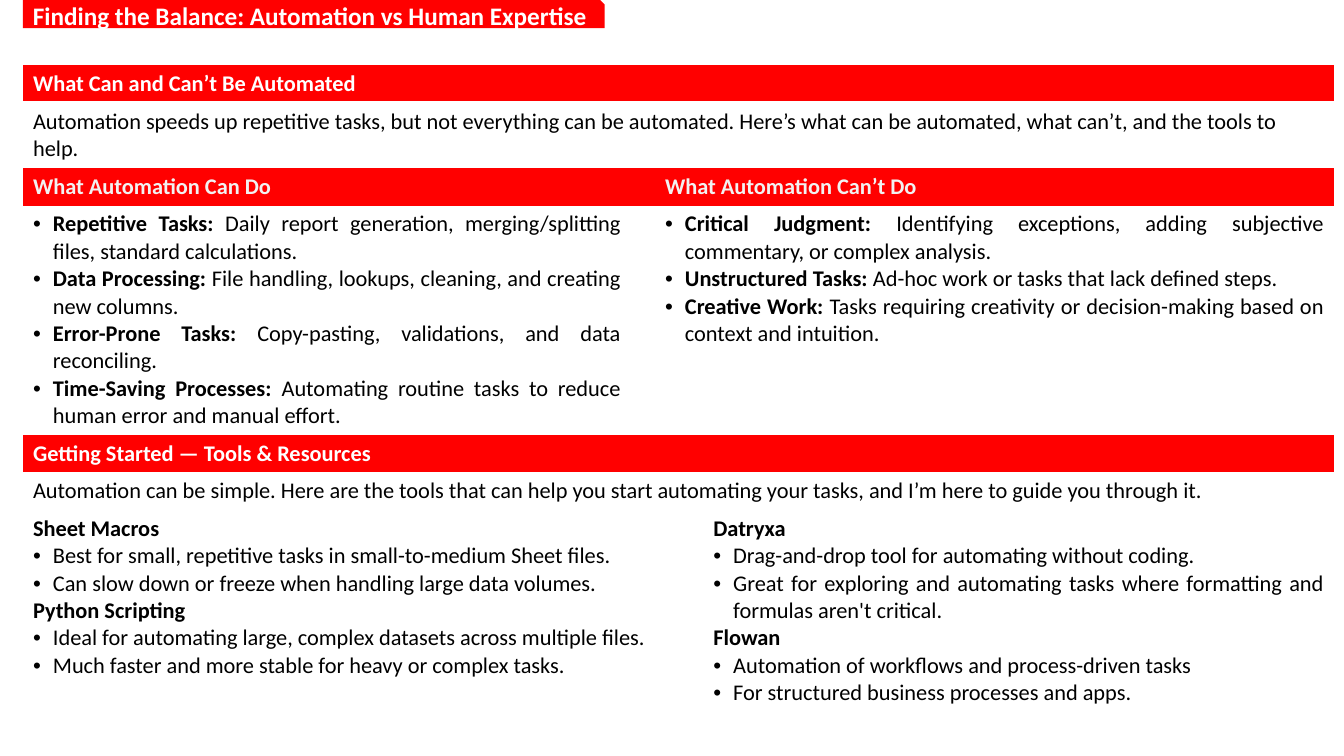
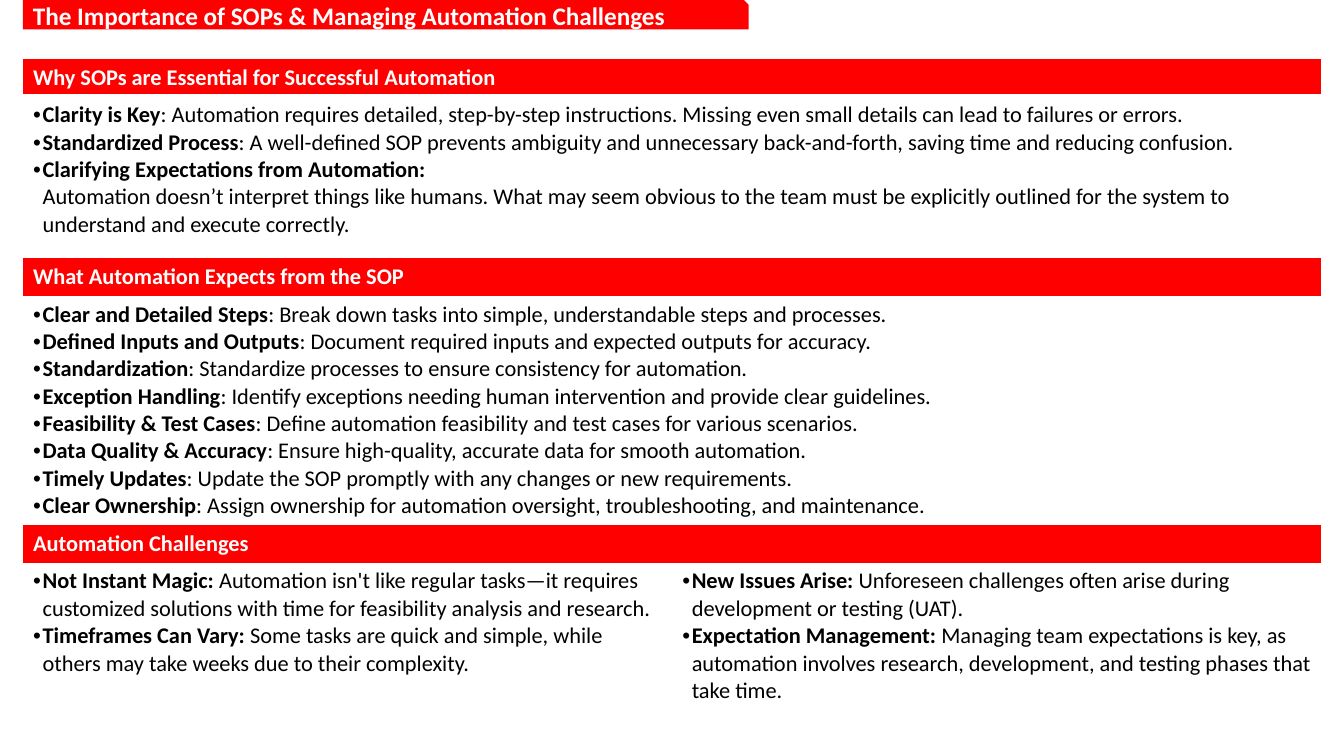
from lxml.etree import SubElement as Sub
from pptx import Presentation
from pptx.dml.color import RGBColor
from pptx.enum.shapes import MSO_SHAPE as Shape
from pptx.enum.text import MSO_ANCHOR as Anchor, PP_ALIGN as Align
from pptx.oxml.ns import qn
from pptx.util import Cm, Pt

# Shared look
FONT, SIZE, BIG = "Calibri", 16, 18
RED, WHITE, PALE, BLACK = "FF0000", "FFFFFF", "F2F2F2", "000000"
LEFT, BAND = 0.58, 0.94
NO_GRID = "{2D5ABB26-0587-4C30-8999-92F81FD0307C}"
# Row kind: fill, text colour, all bold, bulleted
KINDS = {
    "head": (RED, WHITE, True, False),
    "sub": (RED, PALE, True, False),
    "text": (WHITE, BLACK, False, False),
    "list": (WHITE, BLACK, False, True),
}

# Content: a row is kind, height, then cells as (column, span, lines).
# In a list line, the part before "|" is bold; a bold part alone is a heading.
BALANCE = [
    ("head", BAND, [(0, 5, ["What Can and Can’t Be Automated"])]),
    ("text", 1.64, [(0, 5, [
        "Automation speeds up repetitive tasks, but not everything can be automated. "
        "Here’s what can be automated, what can’t, and the tools to help."])]),
    ("sub", BAND, [(0, 2, ["What Automation Can Do"]),
                   (2, 3, ["What Automation Can’t Do"])]),
    ("list", 5.78, [
        (0, 1, [
            "Repetitive Tasks:| Daily report generation, merging/splitting files, "
            "standard calculations.",
            "Data Processing:| File handling, lookups, cleaning, and creating new columns.",
            "Error-Prone Tasks:| Copy-pasting, validations, and data reconciling.",
            "Time-Saving Processes:| Automating routine tasks to reduce human error "
            "and manual effort."]),
        (2, 3, [
            "Critical Judgment:| Identifying exceptions, adding subjective commentary, "
            "or complex analysis.",
            "Unstructured Tasks:| Ad-hoc work or tasks that lack defined steps.",
            "Creative Work:| Tasks requiring creativity or decision-making based on "
            "context and intuition."])]),
    ("head", BAND, [(0, 5, ["Getting Started — Tools & Resources"])]),
    ("text", BAND, [(0, 5, [
        "Automation can be simple. Here are the tools that can help you start "
        "automating your tasks, and I’m here to guide you through it."])]),
    ("list", 5.1, [
        (0, 3, [
            "Sheet Macros|",
            "Best for small, repetitive tasks in small-to-medium Sheet files.",
            "Can slow down or freeze when handling large data volumes.",
            "Python Scripting|",
            "Ideal for automating large, complex datasets across multiple files.",
            "Much faster and more stable for heavy or complex tasks."]),
        (4, 1, [
            "Datryxa|",
            "Drag-and-drop tool for automating without coding.",
            "Great for exploring and automating tasks where formatting and "
            "formulas aren't critical.",
            "Flowan|",
            "Automation of workflows and process-driven tasks",
            "For structured business processes and apps."])]),
]
SOPS = [
    ("head", BAND, [(0, 2, ["Why SOPs are Essential for Successful Automation"])]),
    ("list", 4.08, [(0, 2, [
        "Clarity is Key|: Automation requires detailed, step-by-step instructions. "
        "Missing even small details can lead to failures or errors.",
        "Standardized Process|: A well-defined SOP prevents ambiguity and unnecessary "
        "back-and-forth, saving time and reducing confusion.",
        "Clarifying Expectations from Automation:|\nAutomation doesn’t interpret things "
        "like humans. What may seem obvious to the team must be explicitly outlined "
        "for the system to understand and execute correctly."])]),
    ("head", BAND, [(0, 2, ["What Automation Expects from the SOP"])]),
    ("list", 5.78, [(0, 2, [
        "Clear and Detailed Steps|: Break down tasks into simple, understandable "
        "steps and processes.",
        "Defined Inputs and Outputs|: Document required inputs and expected outputs "
        "for accuracy.",
        "Standardization|: Standardize processes to ensure consistency for automation.",
        "Exception Handling|: Identify exceptions needing human intervention and "
        "provide clear guidelines.",
        "Feasibility & Test Cases|: Define automation feasibility and test cases for "
        "various scenarios.",
        "Data Quality & Accuracy|: Ensure high-quality, accurate data for smooth "
        "automation.",
        "Timely Updates|: Update the SOP promptly with any changes or new requirements.",
        "Clear Ownership|: Assign ownership for automation oversight, troubleshooting, "
        "and maintenance."])]),
    ("head", BAND, [(0, 2, ["Automation Challenges"])]),
    ("list", 3.7, [
        (0, 1, [
            "Not Instant Magic:| Automation isn't like regular tasks—it requires "
            "customized solutions with time for feasibility analysis and research.",
            "Timeframes Can Vary:| Some tasks are quick and simple, while others may "
            "take weeks due to their complexity."]),
        (1, 1, [
            "New Issues Arise:| Unforeseen challenges often arise during development "
            "or testing (UAT).",
            "Expectation Management:| Managing team expectations is key, as automation "
            "involves research, development, and testing phases that take time."])]),
]
SLIDES = [
    dict(title="Finding the Balance: Automation vs Human Expertise", wide=14.66,
         high=0.71, top=1.65, cols=[15.32, 0.58, 0.33, 0.58, 15.9],
         indent=0.5, align=Align.JUSTIFY, rows=BALANCE),
    dict(title="The Importance of SOPs & Managing Automation Challenges", wide=18.29,
         high=0.74, top=1.48, cols=[16.36, 16.36],
         indent=0.24, align=Align.LEFT, rows=SOPS),
]


def rgb(code):
    return RGBColor.from_string(code)


def paint(item, code):
    item.fill.solid()
    item.fill.fore_color.rgb = rgb(code)


def bullet(para, indent):
    props = para._p.get_or_add_pPr()
    props.set("marL", str(Cm(indent)))
    props.set("indent", str(-Cm(indent)))
    Sub(props, qn("a:buFont")).set("typeface", "Arial")
    Sub(props, qn("a:buChar")).set("char", "•")


def write(frame, lines, size=SIZE, color=BLACK, bold=False, indent=0, align=Align.LEFT):
    """Fill a text frame; a positive indent gives bullets."""
    for num, line in enumerate(lines):
        para = frame.add_paragraph() if num else frame.paragraphs[0]
        lead, bar, rest = line.partition("|")
        para.alignment = align
        if indent and (rest or not bar):
            bullet(para, indent)
        for text, heavy in ((lead, bold or bool(bar)), (rest, bold)):
            if text.startswith("\n"):
                para.add_line_break()
            if text:
                run = para.add_run()
                run.text = text.strip("\n")
                font = run.font
                font.name, font.size, font.bold = FONT, Pt(size), heavy
                font.color.rgb = rgb(color)


def underline(cell, code, width):
    """White rule below the top band."""
    line = cell._tc.get_or_add_tcPr().makeelement(qn("a:lnB"), {"w": str(Pt(width))})
    Sub(Sub(line, qn("a:solidFill")), qn("a:srgbClr")).set("val", code)
    cell._tc.get_or_add_tcPr().insert(0, line)


def add_title(slide, text, wide, high):
    tab = slide.shapes.add_shape(Shape.SNIP_1_RECTANGLE, Cm(LEFT), 0, Cm(wide), Cm(high))
    tab.shadow.inherit = False
    paint(tab, RED)
    tab.line.fill.background()
    tab.text_frame.word_wrap = True
    tab.text_frame.vertical_anchor = Anchor.MIDDLE
    write(tab.text_frame, [text], size=BIG, color=WHITE, bold=True)


def add_grid(slide, top, cols, rows, indent, align):
    tall = sum(row[1] for row in rows)
    frame = slide.shapes.add_table(len(rows), len(cols), Cm(LEFT), Cm(top),
                                   Cm(sum(cols)), Cm(tall))
    grid = frame.table
    grid._tbl.tblPr.find(qn("a:tableStyleId")).text = NO_GRID
    grid.first_row = grid.horz_banding = False
    for col, wide in zip(grid.columns, cols):
        col.width = Cm(wide)
    for num, (kind, high, cells) in enumerate(rows):
        fill, color, bold, listed = KINDS[kind]
        grid.rows[num].height = Cm(high)
        for cell in grid.rows[num].cells:
            paint(cell, fill)
            if num == 0:
                underline(cell, WHITE, 3)
        for col, span, lines in cells:
            cell = grid.cell(num, col)
            if span > 1:
                cell.merge(grid.cell(num, col + span - 1))
            write(cell.text_frame, lines, color=color, bold=bold,
                  indent=indent if listed else 0,
                  align=align if listed else Align.LEFT)


def main():
    deck = Presentation()
    deck.slide_width, deck.slide_height = Cm(33.87), Cm(19.05)
    for page in SLIDES:
        slide = deck.slides.add_slide(deck.slide_layouts[6])
        add_grid(slide, page["top"], page["cols"], page["rows"],
                 page["indent"], page["align"])
        add_title(slide, page["title"], page["wide"], page["high"])
    deck.save("out.pptx")


if __name__ == "__main__":
    main()
